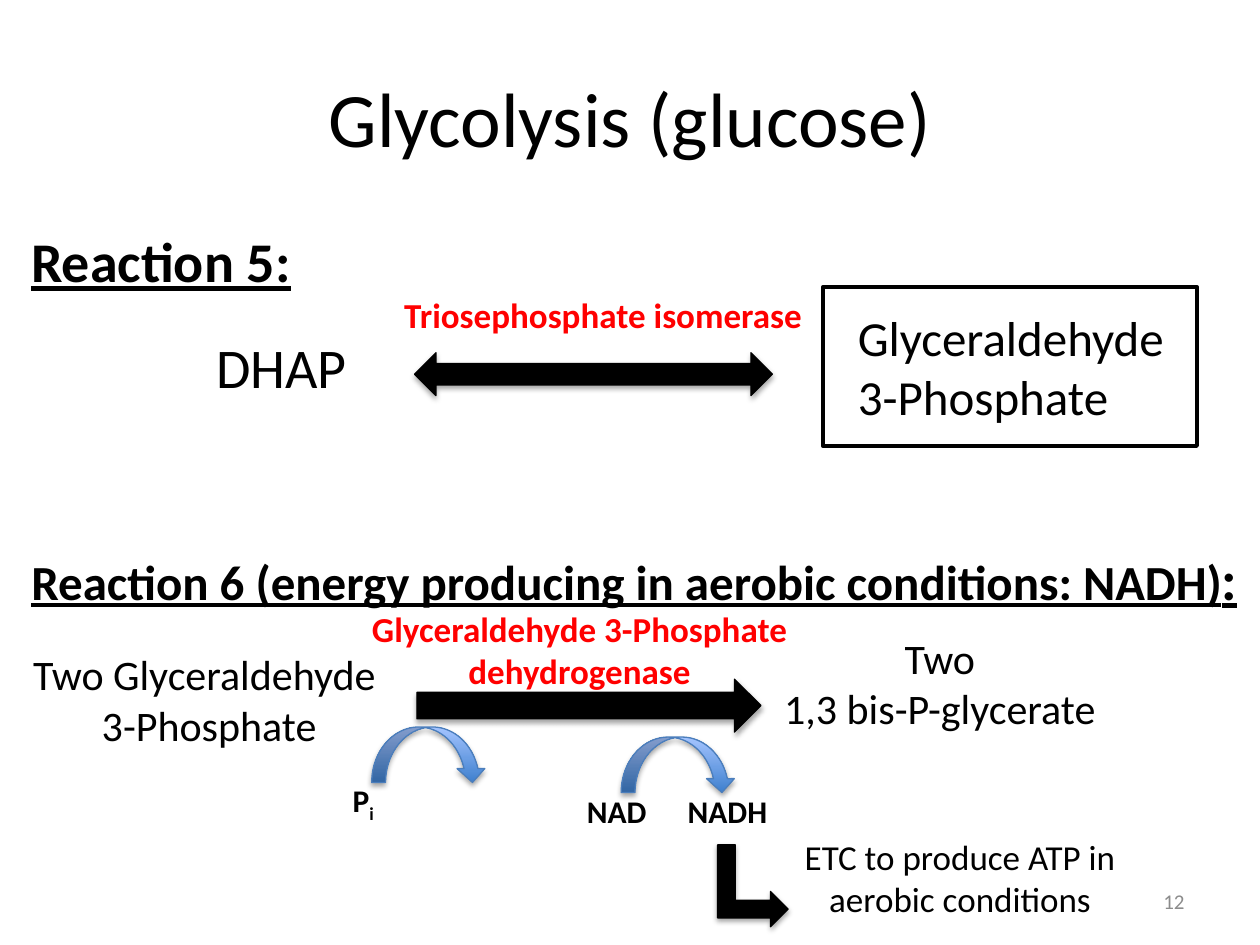
from lxml.etree import SubElement
from pptx import Presentation
from pptx.dml.color import RGBColor
from pptx.enum.shapes import MSO_SHAPE as Shape
from pptx.enum.text import MSO_ANCHOR as Anchor, PP_ALIGN as Align
from pptx.oxml.ns import qn
from pptx.util import Inches, Pt

COLORS = {
    "black": "000000",
    "enzyme": "FF0000",
    "number": "8C8C8C",
    "curve_dark": "3F80CE",
    "curve_light": "A4C4FF",
    "curve_line": "4B7EBC",
}


def color(name):
    return RGBColor.from_string(COLORS[name])


class ReactionSlide:
    """Draws labels, arrows and frames on one slide in a shared style."""

    font_name = "Calibri"

    def __init__(self, presentation):
        self.slide = presentation.slides.add_slide(presentation.slide_layouts[6])

    def label(self, box, lines, size, ink="black", bold=False, underline=False,
              align=Align.CENTER, anchor=Anchor.TOP, gap=0):
        shape = self.slide.shapes.add_textbox(*map(Inches, box))
        frame = shape.text_frame
        frame.word_wrap = True
        frame.vertical_anchor = anchor
        for index, line in enumerate(lines):
            paragraph = frame.add_paragraph() if index else frame.paragraphs[0]
            paragraph.text = line
            paragraph.alignment = align
            if index and gap:
                paragraph.space_before = Pt(gap)
            font = paragraph.font
            font.name, font.size = self.font_name, Pt(size)
            font.bold, font.underline = bold, underline
            font.color.rgb = color(ink)
        return frame.paragraphs

    def frame(self, box, width):
        shape = self.slide.shapes.add_shape(Shape.RECTANGLE, *map(Inches, box))
        shape.shadow.inherit = False
        shape.fill.background()
        shape.line.color.rgb = color("black")
        shape.line.width = Pt(width)

    def arrow(self, kind, box, line="black", rotation=0):
        shape = self.slide.shapes.add_shape(kind, *map(Inches, box))
        shape.rotation = rotation
        shape.fill.solid()
        shape.fill.fore_color.rgb = color("black")
        shape.line.color.rgb = color(line)
        shape.line.width = Pt(0.75)
        self.cast_shadow(shape)
        return shape

    def curved_arrow(self, left, top):
        shape = self.arrow(Shape.CURVED_DOWN_ARROW, (left, top, 0.91, 0.44), "curve_line")
        shape.fill.gradient()
        shape.fill.gradient_angle = 90
        for stop, name in zip(shape.fill.gradient_stops, ("curve_dark", "curve_light")):
            stop.color.rgb = color(name)

    def cast_shadow(self, shape):
        shape.shadow.inherit = False
        effects = shape._element.spPr.find(qn("a:effectLst"))
        shadow = SubElement(effects, qn("a:outerShdw"), blurRad=str(Pt(3.1)),
                            dist=str(Pt(1.8)), dir="5400000", rotWithShape="0")
        tint = SubElement(shadow, qn("a:srgbClr"), val=COLORS["black"])
        SubElement(tint, qn("a:alpha"), val="35000")


def main():
    presentation = Presentation()
    presentation.slide_width, presentation.slide_height = Inches(10), Inches(7.5)
    page = ReactionSlide(presentation)

    page.label((0.5, 0.3, 9, 1.25), ["Glycolysis (glucose)"], 44, anchor=Anchor.MIDDLE)
    headings = page.label(
        (0.15, 1.75, 9.85, 4.95),
        ["Reaction 5:", "Reaction 6 (energy producing in aerobic conditions: NADH)"],
        32, bold=True, underline=True, align=Align.LEFT, gap=143)
    headings[1].runs[0].font.size = Pt(28)
    headings[1].add_run().text = ":"

    page.label((3.11, 2.28, 3.62, 0.44), ["Triosephosphate isomerase"], 20, "enzyme",
               bold=True, align=Align.LEFT)
    page.arrow(Shape.RIGHT_ARROW, (3.31, 5.39, 2.73, 0.42))
    page.label((6.71, 2.39, 3.02, 1.04), ["Glyceraldehyde", "3-Phosphate"], 28,
               align=Align.LEFT)
    page.label((2.43, 4.77, 4.34, 0.77), ["Glyceraldehyde 3-Phosphate dehydrogenase"], 20,
               "enzyme", bold=True)
    page.label((0, 2.59, 4.47, 0.64), ["DHAP"], 32)
    page.arrow(Shape.LEFT_RIGHT_ARROW, (3.29, 2.8, 2.84, 0.34))
    page.frame((6.53, 2.28, 2.97, 1.26), 2.25)
    page.label((0.15, 5.1, 3.02, 0.91), ["Two Glyceraldehyde ", "3-Phosphate"], 24)
    page.label((5.68, 4.97, 3.56, 0.91), ["Two", "1,3 bis-P-glycerate"], 24)

    page.curved_arrow(4.93, 5.85)
    page.curved_arrow(2.95, 5.77)
    cofactors = [("NAD", 4.56, 6.24, 0.94), ("NADH", 5.36, 6.24, 1.36), ("P", 2.7, 6.15, 0.94)]
    for name, left, top, width in cofactors:
        paragraphs = page.label((left, top, width, 0.4), [name], 18, bold=True,
                                align=Align.LEFT)
    subscript = paragraphs[0].add_run()
    subscript.text = "i"
    subscript.font._element.set("baseline", "-25000")

    page.label((7.17, 6.95, 2.33, 0.4), ["12"], 12, "number", align=Align.RIGHT,
               anchor=Anchor.MIDDLE)
    page.arrow(Shape.BENT_UP_ARROW, (5.65, 6.75, 0.65, 0.56), rotation=90)
    page.label((5.84, 6.58, 3.56, 0.77), ["ETC to produce ATP in aerobic conditions"], 20)

    presentation.save("out.pptx")


if __name__ == "__main__":
    main()
